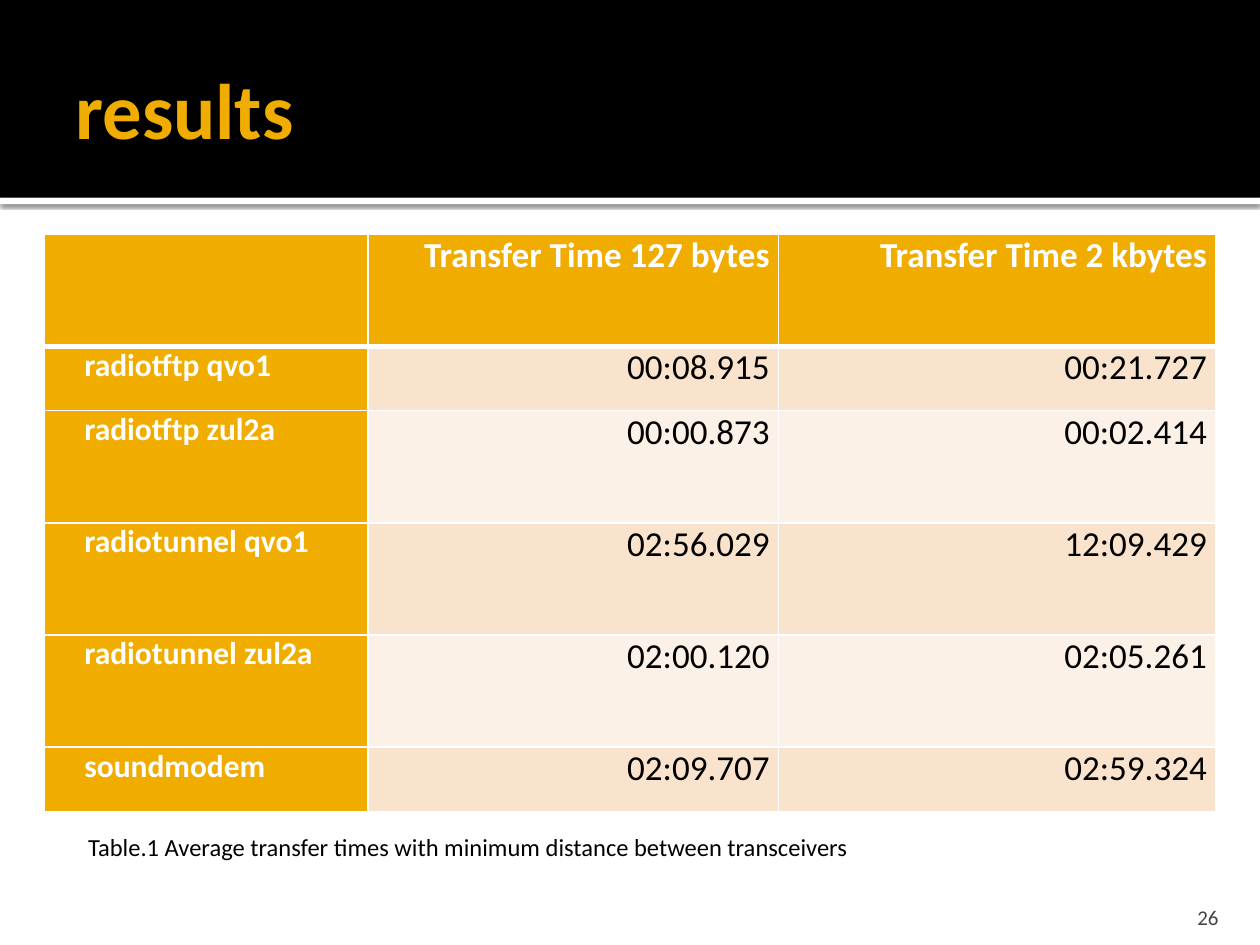
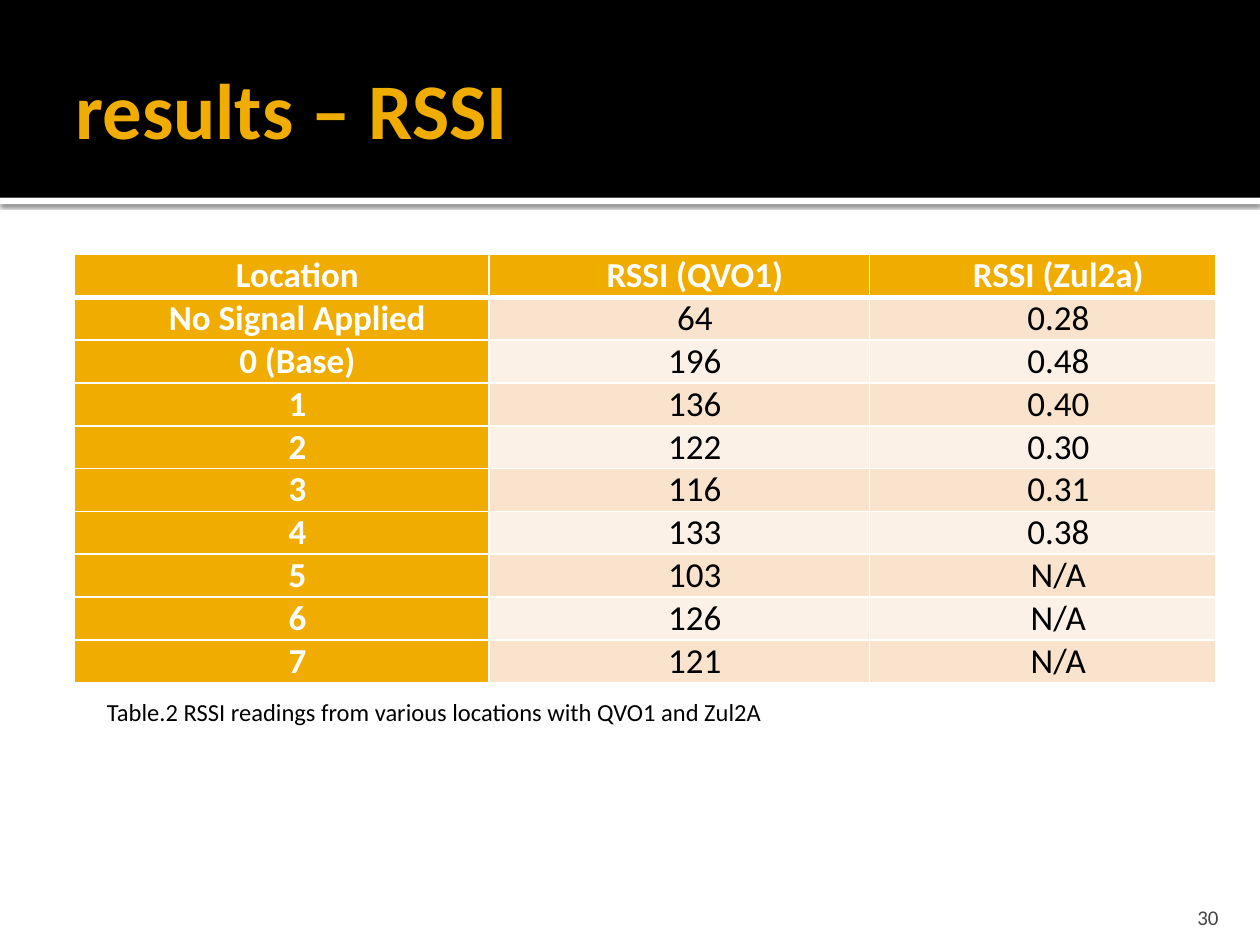
from lxml import etree
from pptx import Presentation
from pptx.dml.color import RGBColor
from pptx.enum import shapes, text
from pptx.oxml import ns
from pptx.util import Inches, Pt

FONT = "Calibri"
GOLD = RGBColor(0xF0, 0xAD, 0x00)
BLACK = RGBColor(0, 0, 0)
WHITE = RGBColor(0xFF, 0xFF, 0xFF)
GREY = RGBColor(0x45, 0x45, 0x45)
BANDS = RGBColor(0xF9, 0xE3, 0xCC), RGBColor(0xFC, 0xF1, 0xE7)

LEFT, MID, RIGHT = text.PP_ALIGN.LEFT, text.PP_ALIGN.CENTER, text.PP_ALIGN.RIGHT
TOP, CENTRE, BASE = text.MSO_ANCHOR.TOP, text.MSO_ANCHOR.MIDDLE, text.MSO_ANCHOR.BOTTOM
INDENT = 0.25

SLIDES = [
    dict(
        title="results", number="26",
        rows=[
            ("", "Transfer Time 127 bytes", "Transfer Time 2 kbytes"),
            ("radiotftp qvo1", "00:08.915", "00:21.727"),
            ("radiotftp zul2a", "00:00.873", "00:02.414"),
            ("radiotunnel qvo1", "02:56.029", "12:09.429"),
            ("radiotunnel zul2a", "02:00.120", "02:05.261"),
            ("soundmodem", "02:09.707", "02:59.324"),
        ],
        place=(0.35, 1.86), widths=(2.57, 3.26, 3.47),
        heights=(0.89, 0.51, 0.89, 0.89, 0.89, 0.51),
        label=(LEFT, 18), align=RIGHT,
        caption="Table.1 Average transfer times with minimum distance between transceivers",
        spot=(0.35, 6.55, 6.55, 0.34), anchor=CENTRE, indent=INDENT,
    ),
    dict(
        title="results – RSSI", number="30",
        rows=[
            ("Location", "RSSI (QVO1)", "RSSI (Zul2a)"),
            ("No Signal Applied", "64", "0.28"),
            ("0 (Base)", "196", "0.48"),
            ("1", "136", "0.40"),
            ("2", "122", "0.30"),
            ("3", "116", "0.31"),
            ("4", "133", "0.38"),
            ("5", "103", "N/A"),
            ("6", "126", "N/A"),
            ("7", "121", "N/A"),
        ],
        place=(0.59, 2.02), widths=(3.29, 3.02, 2.75),
        heights=(0.34,) * 10,
        label=(MID, 20), align=MID,
        caption="Table.2 RSSI readings from various locations with QVO1 and Zul2A",
        spot=(0.75, 5.48, 8.58, 0.34), anchor=TOP, indent=0,
    ),
]


def style(para, size, color, bold=False, align=LEFT, indent=0):
    para.alignment = align
    if indent:
        props = para._p.get_or_add_pPr()
        props.set("marL", "0")
        props.set("indent", str(Inches(indent)))
    for run in para.runs:
        font = run.font
        font.name, font.size, font.bold = FONT, Pt(size), bold
        font.color.rgb = color


def write(slide, words, box, size, color, anchor=TOP, pads=(0.1, 0.05, 0.1, 0.05), **look):
    frame = slide.shapes.add_textbox(*map(Inches, box)).text_frame
    frame.word_wrap = True
    frame.vertical_anchor = anchor
    (frame.margin_left, frame.margin_top,
     frame.margin_right, frame.margin_bottom) = map(Inches, pads)
    frame.text = words
    style(frame.paragraphs[0], size, color, **look)


def add_band(slide, top, height, color):
    band = slide.shapes.add_shape(
        shapes.MSO_SHAPE.RECTANGLE, 0, Inches(top), Inches(10), Inches(height))
    band.shadow.inherit = False
    band.fill.solid()
    band.fill.fore_color.rgb = color
    band.line.fill.background()
    return band


def add_shade(shape):
    effects = shape._element.spPr.find(ns.qn("a:effectLst"))
    shade = etree.SubElement(
        effects, ns.qn("a:outerShdw"), blurRad=str(Pt(2.5)), dist=str(Pt(0.8)),
        dir="5400000", algn="tl", rotWithShape="0")
    tint = etree.SubElement(shade, ns.qn("a:srgbClr"), val=str(BLACK))
    etree.SubElement(tint, ns.qn("a:alpha"), val="60000")


def add_edges(cell, row):
    props = cell._tc.get_or_add_tcPr()
    thick = {("lnB", 0), ("lnT", 1)}
    for spot, side in enumerate(("lnL", "lnR", "lnT", "lnB")):
        width = 3 if (side, row) in thick else 1
        edge = etree.Element(ns.qn("a:" + side), w=str(Pt(width)))
        fill = etree.SubElement(edge, ns.qn("a:solidFill"))
        etree.SubElement(fill, ns.qn("a:srgbClr"), val=str(WHITE))
        props.insert(spot, edge)


def add_grid(slide, data):
    rows, widths, heights = data["rows"], data["widths"], data["heights"]
    size = sum(widths), sum(heights)
    table = slide.shapes.add_table(
        len(rows), len(widths), *map(Inches, data["place"] + size)).table
    table.first_col = True
    for col, width in zip(table.columns, widths):
        col.width = Inches(width)
    for line, height in zip(table.rows, heights):
        line.height = Inches(height)
    for r, row in enumerate(rows):
        for c, words in enumerate(row):
            cell = table.cell(r, c)
            cell.margin_left = cell.margin_right = Inches(0.07)
            cell.margin_top = cell.margin_bottom = 0
            head = r == 0 or c == 0
            cell.fill.solid()
            cell.fill.fore_color.rgb = GOLD if head else BANDS[(r - 1) % 2]
            add_edges(cell, r)
            align, points = data["label"] if c == 0 else (data["align"], 20)
            cell.text_frame.text = words
            style(cell.text_frame.paragraphs[0], points, WHITE if head else BLACK,
                  head, align, INDENT)


def add_slide(deck, data):
    slide = deck.slides.add_slide(deck.slide_layouts[6])
    add_shade(add_band(slide, 1.57, 0.05, WHITE))
    add_band(slide, 0, 1.57, BLACK)
    write(slide, data["title"], (0.5, 0.17, 9, 1.37), 45, GOLD, CENTRE,
          (0.1, 0.05, 0.05, 0.05), bold=True)
    add_grid(slide, data)
    write(slide, data["caption"], data["spot"], 14, BLACK, data["anchor"],
          indent=data["indent"])
    write(slide, data["number"], (8.97, 7.08, 0.8, 0.3), 12, GREY, BASE,
          (0.1, 0.05, 0.1, 0), align=RIGHT)


def main():
    deck = Presentation()
    deck.slide_width, deck.slide_height = Inches(10), Inches(7.5)
    for data in SLIDES:
        add_slide(deck, data)
    deck.save("out.pptx")


if __name__ == "__main__":
    main()
